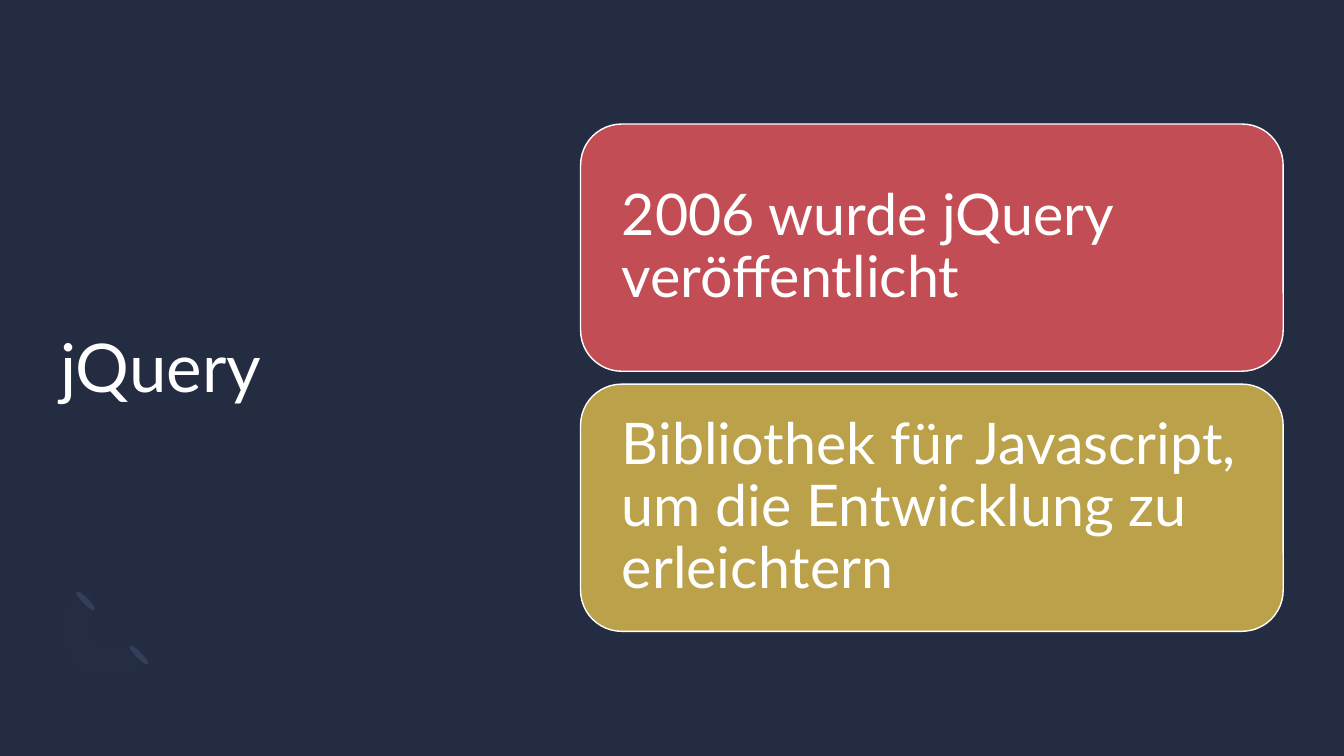
import pptx
import pptx.util
import pptx.dml.color
import pptx.enum.shapes
import pptx.enum.text
import pptx.oxml.ns
import lxml.etree
from dataclasses import dataclass

Pt = pptx.util.Pt
SHAPE = pptx.enum.shapes.MSO_SHAPE
ANCHOR = pptx.enum.text.MSO_ANCHOR
ALIGN = pptx.enum.text.PP_ALIGN


@dataclass(frozen=True)
class Theme:
    font: str = "Lato"
    background: str = "242C41"
    text: str = "FFFFFF"
    red: str = "C34D54"
    gold: str = "BBA149"
    dash: str = "333E5B"
    ring: str = "7B8CB6"
    title_size: float = 48
    card_size: float = 41


def rgb(value):
    return pptx.dml.color.RGBColor.from_string(value)


def set_text(tf, text, font, size, color, inset=0, spacing=1.0):
    tf.word_wrap = True
    tf.auto_size = pptx.enum.text.MSO_AUTO_SIZE.NONE
    tf.vertical_anchor = ANCHOR.MIDDLE
    tf.margin_left = tf.margin_right = Pt(inset)
    tf.margin_top = tf.margin_bottom = Pt(inset)
    p = tf.paragraphs[0]
    p.alignment = ALIGN.LEFT
    p.line_spacing = spacing
    r = p.add_run()
    r.text = text
    r.font.name = font
    r.font.size = Pt(size)
    r.font.color.rgb = rgb(color)


def bezier(a, b, c, d, steps=16):
    for i in range(1, steps + 1):
        t = i / steps
        u = 1 - t
        yield tuple(u**3 * w + 3 * u * u * t * x + 3 * u * t * t * y + t**3 * z
                    for w, x, y, z in zip(a, b, c, d))


class SlideBuilder:
    def __init__(self, prs, theme):
        self.theme = theme
        self.s = prs.slides.add_slide(prs.slide_layouts[5])
        fill = self.s.background.fill
        fill.solid()
        fill.fore_color.rgb = rgb(theme.background)

    def paint(self, sp, fill, line=None):
        sp.shadow.inherit = False
        sp.fill.solid()
        sp.fill.fore_color.rgb = rgb(fill)
        if line:
            sp.line.color.rgb = rgb(line)
            sp.line.width = Pt(1)
        else:
            sp.line.fill.background()

    def title(self, text, left, top, width, height):
        sp = self.s.shapes.title
        sp.left, sp.top, sp.width, sp.height = map(Pt, (left, top, width, height))
        set_text(sp.text_frame, text, self.theme.font, self.theme.title_size, self.theme.text)

    def card(self, text, fill, left, top, width, height):
        sp = self.s.shapes.add_shape(SHAPE.ROUNDED_RECTANGLE, *map(Pt, (left, top, width, height)))
        self.paint(sp, fill, self.theme.text)
        set_text(sp.text_frame, text, self.theme.font, self.theme.card_size, self.theme.text,
                 inset=20.9, spacing=0.9)

    def dash(self, left, top, width, height):
        sp = self.s.shapes.add_shape(SHAPE.OVAL, *map(Pt, (left, top, width, height)))
        sp.rotation = 135
        self.paint(sp, self.theme.dash)

    def ring(self, start, segments, opacity):
        points = [start]
        for segment in segments:
            points.extend(bezier(points[-1], *segment) if len(segment) == 3 else segment)
        points = [(x * 100, y * 100) for x, y in points]
        builder = self.s.shapes.build_freeform(*points[0], scale=Pt(1) / 100)
        builder.add_line_segments(points[1:], close=True)
        sp = builder.convert_to_shape()
        self.paint(sp, self.theme.ring)
        color = sp.fill._xPr.find(".//" + pptx.oxml.ns.qn("a:srgbClr"))
        alpha = lxml.etree.SubElement(color, pptx.oxml.ns.qn("a:alpha"))
        alpha.set("val", str(opacity * 1000))


theme = Theme()
prs = pptx.Presentation()
prs.slide_width, prs.slide_height = Pt(960), Pt(540)
slide = SlideBuilder(prs, theme)

for left, top in ((97.2, 458.6), (58.9, 419.8)):
    slide.dash(left, top, 4.3, 18.7)

slide.ring((54.7, 474.5), [
    [(40.3, 460.1), (41.8, 435.6), (58.3, 419)],
    [(71.3, 432)],
    [(62.6, 439.9), (61.9, 452.9), (69.1, 459.4)],
    [(76.3, 466.6), (88.6, 465.8), (97.2, 457.9)],
    [(109.4, 470.9)],
    [(93.6, 486.7), (68.4, 488.9), (54.7, 474.5)],
], opacity=2)

slide.title("jQuery", 43.2, 43.2, 280.8, 436.3)

cards = (
    ("2006 wurde jQuery veröffentlicht", theme.red),
    ("Bibliothek für Javascript, um die Entwicklung zu erleichtern", theme.gold),
)
card_top, card_height, card_gap = 88.6, 176.6, 9.2
for i, (text, fill) in enumerate(cards):
    slide.card(text, fill, 414.7, card_top + i * (card_height + card_gap), 501.9, card_height)

prs.save("out.pptx")
